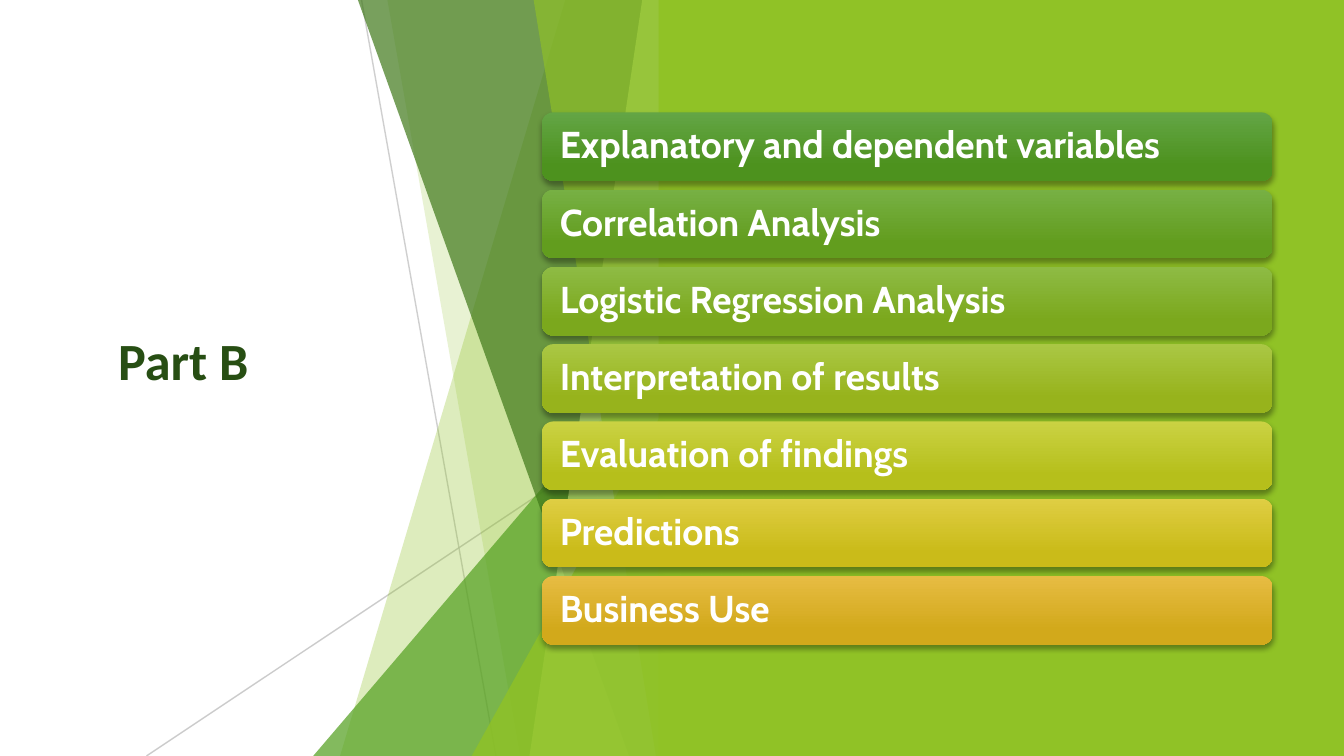
from dataclasses import dataclass

import lxml.etree
import pptx
import pptx.dml.color
import pptx.enum.shapes
import pptx.enum.text
import pptx.oxml.ns
import pptx.util

Pt = pptx.util.Pt
qn = pptx.oxml.ns.qn
KIND = pptx.enum.shapes.MSO_SHAPE
WIDE, HIGH = 720, 405
EDGE = 360  # right edge of the facets


@dataclass
class Ray:
    start: tuple[float, float]
    end: tuple[float, float]
    alpha: int


@dataclass
class Ribbon:
    upper: float  # left edge at the top
    lower: float  # left edge at the bottom
    color: str
    alpha: int


@dataclass
class Wedge:
    left: float
    top: float
    color: str
    alpha: int


@dataclass
class Bar:
    label: str
    light: str
    dark: str


RAYS = [Ray((193.7, 0), (265.7, HIGH), 75), Ray((EDGE, 217.4), (78.5, HIGH), 80)]
FACETS = [
    Ribbon(303.1, 182.2, "90C226", 30),
    Ribbon(207.4, 278.6, "90C226", 20),
    Wedge(167.8, 180, "54A021", 72),
    Ribbon(191.5, 337, "3F7819", 70),
    Ribbon(344.2, 283.7, "C0E474", 70),
    Ribbon(285.8, 351.4, "90C226", 65),
    Wedge(252.7, 211.7, "90C226", 80),
]
BARS = [
    Bar("Explanatory and dependent variables", "63A545", "4D921E"),
    Bar("Correlation Analysis", "77B044", "629D1E"),
    Bar("Logistic Regression Analysis", "8EBB44", "7BA81D"),
    Bar("Interpretation of results", "AAC744", "97B31C"),
    Bar("Evaluation of findings", "CAD243", "B6BF1B"),
    Bar("Predictions", "DFCE43", "CABB19"),
    Bar("Business Use", "E7BC43", "D2A91B"),
]


def rgb(code: str) -> pptx.dml.color.RGBColor:
    return pptx.dml.color.RGBColor.from_string(code)


def fade(item, alpha: int) -> None:
    """Set the opacity, in percent, of the only colour in an item."""
    tint = item.element.spPr.find(".//" + qn("a:srgbClr"))
    lxml.etree.SubElement(tint, qn("a:alpha"), val=str(alpha * 1000))


def paint(shape, color: str, alpha: int = 100) -> None:
    shape.shadow.inherit = False
    shape.fill.solid()
    shape.fill.fore_color.rgb = rgb(color)
    shape.line.fill.background()
    if alpha < 100:
        fade(shape, alpha)


def style(frame, size: float, font: str, color: str) -> None:
    for run in frame.paragraphs[0].runs:
        run.font.size = Pt(size)
        run.font.name = font
        run.font.bold = True
        run.font.color.rgb = rgb(color)


def draw_ray(shapes, ray: Ray) -> None:
    line = shapes.add_connector(
        pptx.enum.shapes.MSO_CONNECTOR.STRAIGHT,
        *(Pt(v) for v in ray.start + ray.end))
    line.line.color.rgb = rgb("BFBFBF")
    line.line.width = Pt(0.75)
    fade(line, ray.alpha)
    lxml.etree.SubElement(line.element.spPr, qn("a:effectLst"))


def draw_ribbon(shapes, ribbon: Ribbon) -> None:
    top = -0.7
    points = [(EDGE, top), (EDGE, HIGH), (ribbon.lower, HIGH)]
    form = shapes.build_freeform(Pt(ribbon.upper), Pt(top), scale=1.0)
    form.add_line_segments([(Pt(x), Pt(y)) for x, y in points], close=True)
    paint(form.convert_to_shape(), ribbon.color, ribbon.alpha)


def draw_wedge(shapes, wedge: Wedge) -> None:
    shape = shapes.add_shape(
        KIND.ISOSCELES_TRIANGLE, Pt(wedge.left), Pt(wedge.top),
        Pt(EDGE - wedge.left), Pt(HIGH - wedge.top))
    shape.adjustments[0] = 1
    paint(shape, wedge.color, wedge.alpha)


def cast(shape) -> None:
    """Give a shape a soft shadow straight below it."""
    shape.shadow.inherit = False
    effect = shape.element.spPr.find(qn("a:effectLst"))
    shade = lxml.etree.SubElement(
        effect, qn("a:outerShdw"), blurRad=str(Pt(3)), dist=str(Pt(2)),
        dir="5400000", rotWithShape="0")
    tint = lxml.etree.SubElement(shade, qn("a:srgbClr"), val="000000")
    lxml.etree.SubElement(tint, qn("a:alpha"), val="35000")


def draw_bar(shapes, bar: Bar, top: float) -> None:
    shape = shapes.add_shape(
        KIND.ROUNDED_RECTANGLE, Pt(290.3), Pt(top), Pt(391.5), Pt(36.8))
    shape.line.fill.background()
    shape.fill.gradient()
    shape.fill.gradient_angle = 270
    stops = zip(shape.fill.gradient_stops, (bar.light, bar.dark), (0, 0.78))
    for stop, color, place in stops:
        stop.color.rgb = rgb(color)
        stop.position = place
    cast(shape)

    frame = shape.text_frame
    frame.text = bar.label
    frame.word_wrap = True
    frame.vertical_anchor = pptx.enum.text.MSO_ANCHOR.MIDDLE
    frame.margin_left = frame.margin_right = Pt(7.8)
    frame.margin_top = frame.margin_bottom = Pt(6)
    frame.paragraphs[0].alignment = pptx.enum.text.PP_ALIGN.LEFT
    frame.paragraphs[0].line_spacing = 0.9
    style(frame, 20, "Cabin", "FFFFFF")


def main() -> None:
    deck = pptx.Presentation()
    deck.slide_width, deck.slide_height = Pt(WIDE), Pt(HIGH)
    slide = deck.slides.add_slide(deck.slide_layouts[6])
    shapes = slide.shapes

    # Faceted backdrop
    for ray in RAYS:
        draw_ray(shapes, ray)
    for facet in FACETS:
        draw = draw_ribbon if isinstance(facet, Ribbon) else draw_wedge
        draw(shapes, facet)

    # Green panel
    left = 352.8
    panel = shapes.add_shape(KIND.RECTANGLE, Pt(left), 0, Pt(WIDE - left), Pt(HIGH))
    paint(panel, "90C226")

    # Topic bars
    for row, bar in enumerate(BARS):
        draw_bar(shapes, bar, 60.2 + 41.4 * row)

    # Title
    title = shapes.add_textbox(Pt(56.2), Pt(172.1), Pt(126), Pt(63.4))
    title.text_frame.text = "Part B"
    title.text_frame.word_wrap = True
    style(title.text_frame, 28, "Calibri", "274E13")

    deck.save("out.pptx")


if __name__ == "__main__":
    main()
